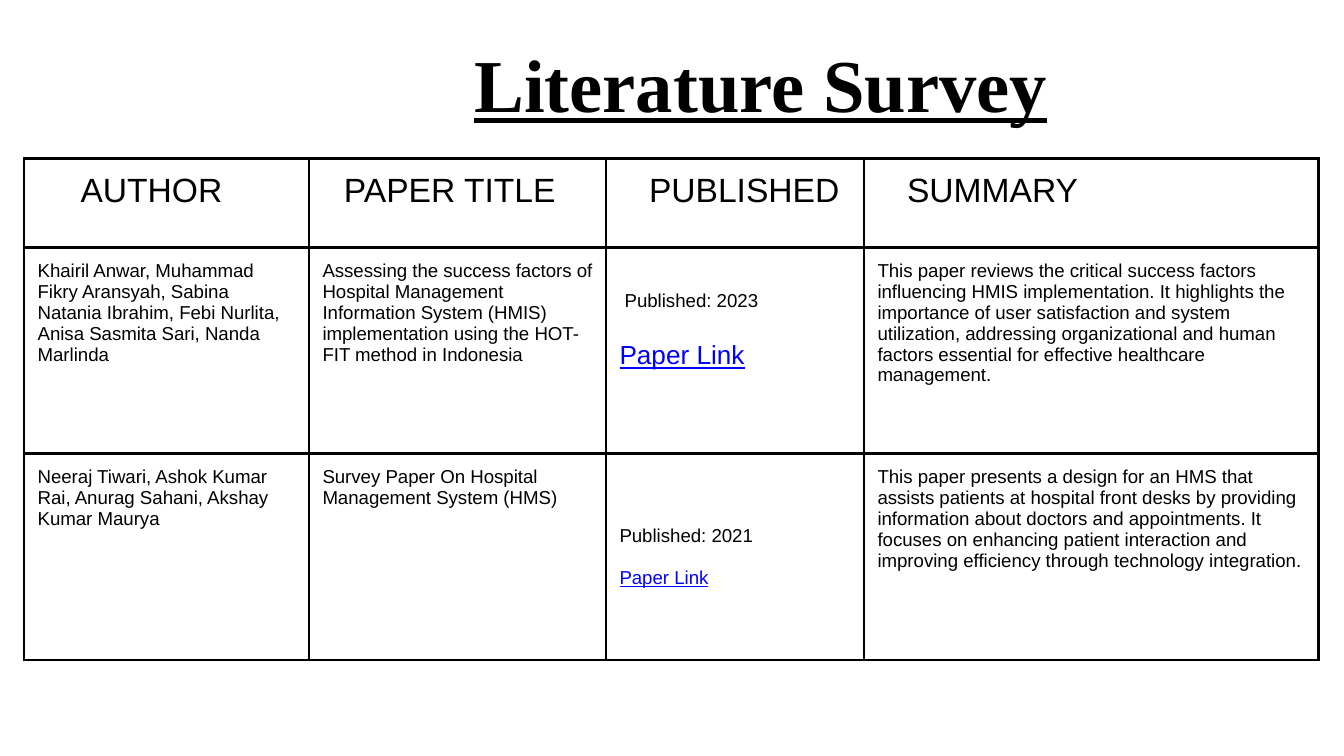
import pptx
import pptx.dml.color
import pptx.enum.text
import pptx.oxml.ns
import pptx.util
from lxml import etree

Inches = pptx.util.Inches
Pt = pptx.util.Pt

BLACK, WHITE, LINK_BLUE = "000000", "FFFFFF", "0000FF"
SLIDE_WIDTH = 10
SLIDE_HEIGHT = SLIDE_WIDTH * 9 / 16
PADDING = 0.1
COLUMN_WIDTHS = [2.12, 2.21, 1.92, 3.38]
ROW_HEIGHTS = [0.66, 1.53, 1.53]
HEADINGS = [("AUTHOR", 0.32), ("PAPER TITLE", 0.16), ("PUBLISHED", 0.22), ("SUMMARY", 0.22)]
PAPERS = [
    {
        "authors": "Khairil Anwar, Muhammad Fikry Aransyah, Sabina Natania Ibrahim, "
                   "Febi Nurlita, Anisa Sasmita Sari, Nanda Marlinda",
        "title": "Assessing the success factors of Hospital Management Information System "
                 "(HMIS) implementation using the HOT-FIT method in Indonesia",
        "published": " Published: 2023",
        "drop": 0.22, "link_size": 14, "link_gap": 16,
        "summary": "This paper reviews the critical success factors influencing HMIS "
                   "implementation. It highlights the importance of user satisfaction and "
                   "system utilization, addressing organizational and human factors "
                   "essential for effective healthcare management.",
    },
    {
        "authors": "Neeraj Tiwari, Ashok Kumar Rai, Anurag Sahani, Akshay Kumar Maurya",
        "title": "Survey Paper On Hospital Management System (HMS)",
        "published": "Published: 2021",
        "drop": 0.44, "link_size": 10, "link_gap": 11,
        "summary": "This paper presents a design for an HMS that assists patients at hospital "
                   "front desks by providing information about doctors and appointments. It "
                   "focuses on enhancing patient interaction and improving efficiency through "
                   "technology integration.",
    },
]


def color(hex_value):
    return pptx.dml.color.RGBColor.from_string(hex_value)


def add_text(paragraph, text, size, font="Arial", ink=BLACK, bold=False, underline=False):
    run = paragraph.add_run()
    run.text = text
    run.font.name = font
    run.font.size = Pt(size)
    run.font.bold = bold
    run.font.underline = underline
    run.font.color.rgb = color(ink)


def format_cell(cell, indent=0, drop=0):
    cell.margin_left = Inches(PADDING + indent)
    cell.margin_top = Inches(PADDING + drop)
    cell.margin_right = cell.margin_bottom = Inches(PADDING)
    properties = cell._tc.get_or_add_tcPr()
    qn = pptx.oxml.ns.qn
    for side in ("lnL", "lnR", "lnT", "lnB"):
        border = etree.SubElement(properties, qn(f"a:{side}"), w=str(Pt(1.5)))
        fill = etree.SubElement(border, qn("a:solidFill"))
        etree.SubElement(fill, qn("a:srgbClr"), val=BLACK)
    cell.fill.solid()
    cell.fill.fore_color.rgb = color(WHITE)


def add_title(slide, left, top, width, height):
    title = slide.shapes.title
    title.left, title.top = Inches(left), Inches(top)
    title.width, title.height = Inches(width), Inches(height)
    frame = title.text_frame
    frame.auto_size = pptx.enum.text.MSO_AUTO_SIZE.NONE
    frame.vertical_anchor = pptx.enum.text.MSO_ANCHOR.TOP
    heading = frame.paragraphs[0]
    heading.alignment = pptx.enum.text.PP_ALIGN.LEFT
    add_text(heading, "Literature Survey", 40, "Times New Roman", bold=True, underline=True)


def add_survey_table(slide, left, top, width, height):
    table = slide.shapes.add_table(
        len(PAPERS) + 1, len(HEADINGS),
        Inches(left), Inches(top), Inches(width), Inches(height)).table
    table.first_row = table.horz_banding = False
    for column, share in zip(table.columns, COLUMN_WIDTHS):
        column.width = Inches(width * share / sum(COLUMN_WIDTHS))
    for row, share in zip(table.rows, ROW_HEIGHTS):
        row.height = Inches(height * share / sum(ROW_HEIGHTS))

    for index, (heading, indent) in enumerate(HEADINGS):
        cell = table.cell(0, index)
        format_cell(cell, indent=indent)
        add_text(cell.text_frame.paragraphs[0], heading, 18)

    for row, paper in enumerate(PAPERS, 1):
        for index, part in enumerate(("authors", "title", "published", "summary")):
            cell = table.cell(row, index)
            format_cell(cell, drop=paper["drop"] if part == "published" else 0)
            add_text(cell.text_frame.paragraphs[0], paper[part], 10)
        link = table.cell(row, 2).text_frame.add_paragraph()
        link.space_before = Pt(paper["link_gap"])
        add_text(link, "Paper Link", paper["link_size"], ink=LINK_BLUE, underline=True)


def main():
    deck = pptx.Presentation()
    deck.slide_width, deck.slide_height = Inches(SLIDE_WIDTH), Inches(SLIDE_HEIGHT)
    slide = deck.slides.add_slide(deck.slide_layouts[5])
    add_title(slide, 3.43, 0.23, 4.75, 0.77)
    add_survey_table(slide, 0.18, 1.18, 9.63, 3.73)
    deck.save("out.pptx")


if __name__ == "__main__":
    main()
